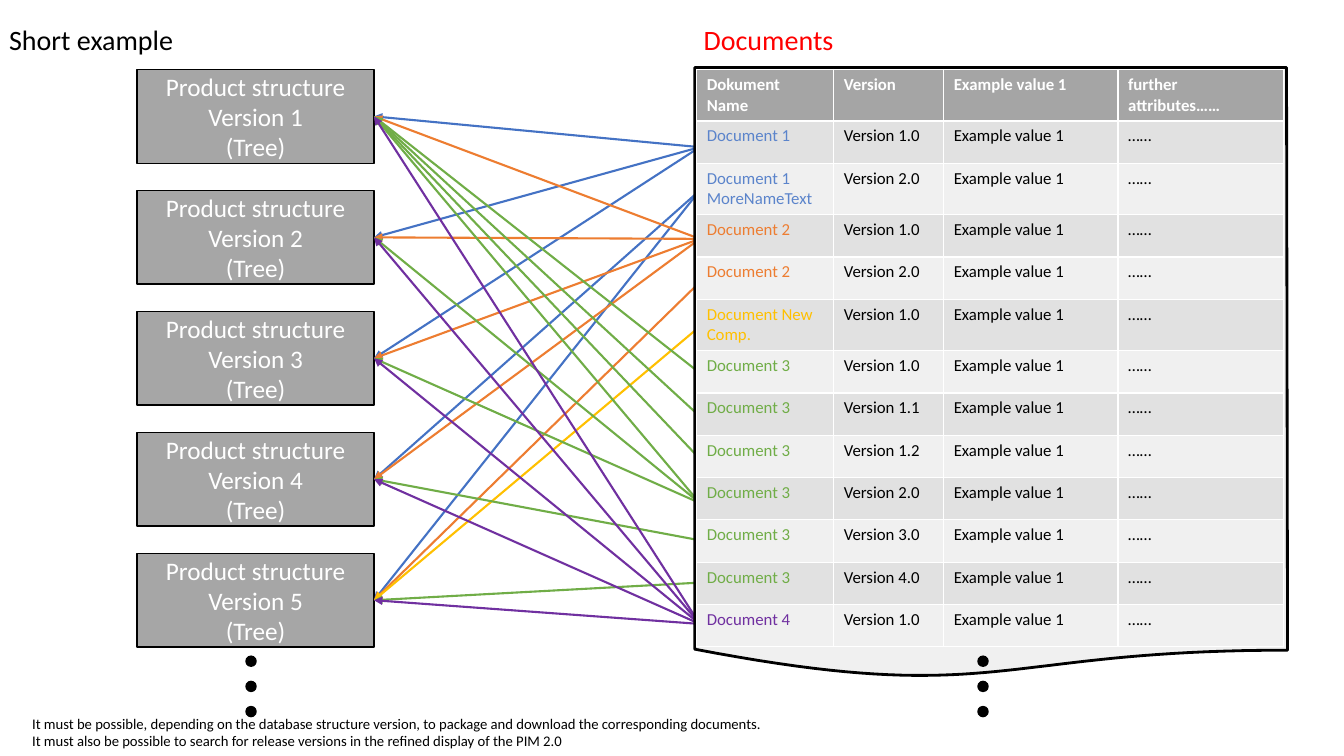
from dataclasses import dataclass

from lxml.etree import SubElement
from pptx import Presentation
from pptx.dml.color import RGBColor
from pptx.enum.shapes import MSO_CONNECTOR, MSO_SHAPE
from pptx.enum.text import MSO_ANCHOR as Anchor, MSO_AUTO_SIZE as AutoSize, PP_ALIGN as Align
from pptx.oxml.ns import qn
from pptx.shapes.autoshape import Shape
from pptx.slide import Slide
from pptx.util import Emu, Pt

PX = 9144  # EMU per px, 100 px to the inch


@dataclass(frozen=True)
class Theme:
    font: str = "Calibri"
    black: str = "000000"
    white: str = "FFFFFF"
    red: str = "FF0000"
    box: str = "A6A6A6"
    header: str = "A5A5A5"
    band_dark: str = "E1E1E1"
    band_light: str = "F0F0F0"
    blue: str = "4472C4"
    blue_text: str = "5B84CB"
    orange: str = "ED7D31"
    yellow: str = "FFC000"
    green: str = "70AD47"
    purple: str = "7030A0"
    heading_size: float = 20
    box_size: float = 18
    table_size: float = 12
    note_size: float = 10.5


THEME = Theme()


@dataclass(frozen=True)
class Box:
    left: int
    top: int
    width: int
    height: int

    def emu(self) -> tuple[Emu, Emu, Emu, Emu]:
        return px(self.left), px(self.top), px(self.width), px(self.height)


@dataclass(frozen=True)
class Document:
    name: str
    version: str
    color: str
    link_y: int
    structures: tuple[int, ...]  # product structure versions it belongs to
    height: int = 42


DOCUMENTS = [
    Document("Document 1", "1.0", THEME.blue, 146, (1, 2, 3)),
    Document("Document 1 MoreNameText", "2.0", THEME.blue, 189, (4, 5), 51),
    Document("Document 2", "1.0", THEME.orange, 237, (1, 2, 3, 4)),
    Document("Document 2", "2.0", THEME.orange, 280, (5,)),
    Document("Document New Comp.", "1.0", THEME.yellow, 324, (5,), 51),
    Document("Document 3", "1.0", THEME.green, 370, (1,)),
    Document("Document 3", "1.1", THEME.green, 413, (1,)),
    Document("Document 3", "1.2", THEME.green, 455, (1,)),
    Document("Document 3", "2.0", THEME.green, 499, (1, 2, 3)),
    Document("Document 3", "3.0", THEME.green, 536, (4,)),
    Document("Document 3", "4.0", THEME.green, 578, (5,)),
    Document("Document 4", "1.0", THEME.purple, 619, (1, 2, 3, 4, 5)),
]
HEADERS = ["Dokument Name", "Version", "Example value 1", "further attributes……"]
HEADER_HEIGHT = 51
COLUMN_WIDTHS = [136, 109, 173, 164]
NOTES = [
    "It must be possible, depending on the database structure version, to package and "
    "download the corresponding documents.",
    "It must also be possible to search for release versions in the refined display of the PIM 2.0",
]


def px(value: int) -> Emu:
    return Emu(value * PX)


def rgb(color: str) -> RGBColor:
    return RGBColor.from_string(color)


def write(frame, lines: list[str], size: float, color: str,
          align: Align = Align.LEFT, bold: bool = False) -> None:
    frame.word_wrap = True
    for index, line in enumerate(lines):
        paragraph = frame.paragraphs[0] if index == 0 else frame.add_paragraph()
        paragraph.text = line
        paragraph.alignment = align
        paragraph.font.name = THEME.font
        paragraph.font.size = Pt(size)
        paragraph.font.bold = bold
        paragraph.font.color.rgb = rgb(color)


def paint(shape: Shape, fill: str, line_width: float = 1) -> None:
    shape.shadow.inherit = False
    shape.fill.solid()
    shape.fill.fore_color.rgb = rgb(fill)
    shape.line.color.rgb = rgb(THEME.black)
    shape.line.width = Pt(line_width)


def add_text(slide: Slide, box: Box, lines: list[str], size: float, color: str) -> None:
    shape = slide.shapes.add_textbox(*box.emu())
    write(shape.text_frame, lines, size, color)


def add_structure(slide: Slide, version: int) -> Shape:
    box = Box(136, 69 + 120 * (version - 1), 235, 93)
    shape = slide.shapes.add_shape(MSO_SHAPE.RECTANGLE, *box.emu())
    paint(shape, THEME.box)
    shape.text_frame.vertical_anchor = Anchor.MIDDLE
    write(shape.text_frame, [f"Product structure Version {version}", "(Tree)"],
          THEME.box_size, THEME.white, Align.CENTER)
    return shape


def add_link(slide: Slide, document: Document, structure: Shape) -> None:
    start = px(694), px(document.link_y)
    connector = slide.shapes.add_connector(MSO_CONNECTOR.STRAIGHT, *start, *start)
    connector.end_connect(structure, 3)
    connector.line.color.rgb = rgb(document.color)
    connector.line.width = Pt(1.5)
    properties = connector._element.spPr
    SubElement(properties.find(qn("a:ln")), qn("a:tailEnd"), type="triangle")
    SubElement(properties, qn("a:effectLst"))


def add_sheet(slide: Slide) -> None:
    """Sheet whose wavy lower edge follows a cubic Bézier curve."""
    controls = [(1277, 645), (984, 645), (992, 702), (689, 644)]
    steps = 40
    wave = []
    for step in range(steps + 1):
        t = step / steps
        weights = [(1 - t) ** 3, 3 * t * (1 - t) ** 2, 3 * t ** 2 * (1 - t), t ** 3]
        wave.append(tuple(sum(w * point[axis] for w, point in zip(weights, controls)) * PX
                          for axis in (0, 1)))
    builder = slide.shapes.build_freeform(px(689), px(67), scale=1.0)
    builder.add_line_segments([(px(1276), px(67)), *wave], close=True)
    paint(builder.convert_to_shape(), THEME.band_light, 2)


def add_documents_table(slide: Slide) -> None:
    heights = [HEADER_HEIGHT] + [document.height for document in DOCUMENTS]
    box = Box(691, 69, sum(COLUMN_WIDTHS), sum(heights))
    table = slide.shapes.add_table(len(heights), len(COLUMN_WIDTHS), *box.emu()).table
    for column, width in zip(table.columns, COLUMN_WIDTHS):
        column.width = px(width)
    for row, height in zip(table.rows, heights):
        row.height = px(height)

    contents = [HEADERS] + [
        [document.name, f"Version {document.version}", "Example value 1", "……"]
        for document in DOCUMENTS
    ]
    for r, texts in enumerate(contents):
        is_header = r == 0
        band = THEME.band_dark if r % 2 else THEME.band_light
        for c, text in enumerate(texts):
            color = THEME.white if is_header else THEME.black
            if c == 0 and not is_header:
                color = DOCUMENTS[r - 1].color
                color = THEME.blue_text if color == THEME.blue else color
            cell = table.cell(r, c)
            cell.fill.solid()
            cell.fill.fore_color.rgb = rgb(THEME.header if is_header else band)
            write(cell.text_frame, [text], THEME.table_size, color, bold=is_header)


def add_dots(slide: Slide, left: int) -> None:
    for index in range(3):
        box = Box(left, 651 + 25 * index, 10, 10)
        paint(slide.shapes.add_shape(MSO_SHAPE.OVAL, *box.emu()), THEME.black)


def main() -> None:
    presentation = Presentation()
    presentation.slide_width, presentation.slide_height = px(1333), px(750)
    slide = presentation.slides.add_slide(presentation.slide_layouts[5])

    # Headings
    title = slide.shapes.title
    title.left, title.top, title.width, title.height = Box(-1, 17, 218, 44).emu()
    title.text_frame.auto_size = AutoSize.NONE
    title.text_frame.vertical_anchor = Anchor.TOP
    write(title.text_frame, ["Short example"], THEME.heading_size, THEME.black)
    add_text(slide, Box(688, 17, 218, 44), ["Documents"], THEME.heading_size, THEME.red)

    # Product structures and their links to documents
    structures = {version: add_structure(slide, version) for version in range(1, 6)}
    for document in DOCUMENTS:
        for version in document.structures:
            add_link(slide, document, structures[version])

    # Document list
    add_sheet(slide)
    add_documents_table(slide)

    # Continuation dots and notes
    for left in (244, 970):
        add_dots(slide, left)
    add_text(slide, Box(22, 704, 1271, 47), NOTES, THEME.note_size, THEME.black)

    presentation.save("out.pptx")


if __name__ == "__main__":
    main()
